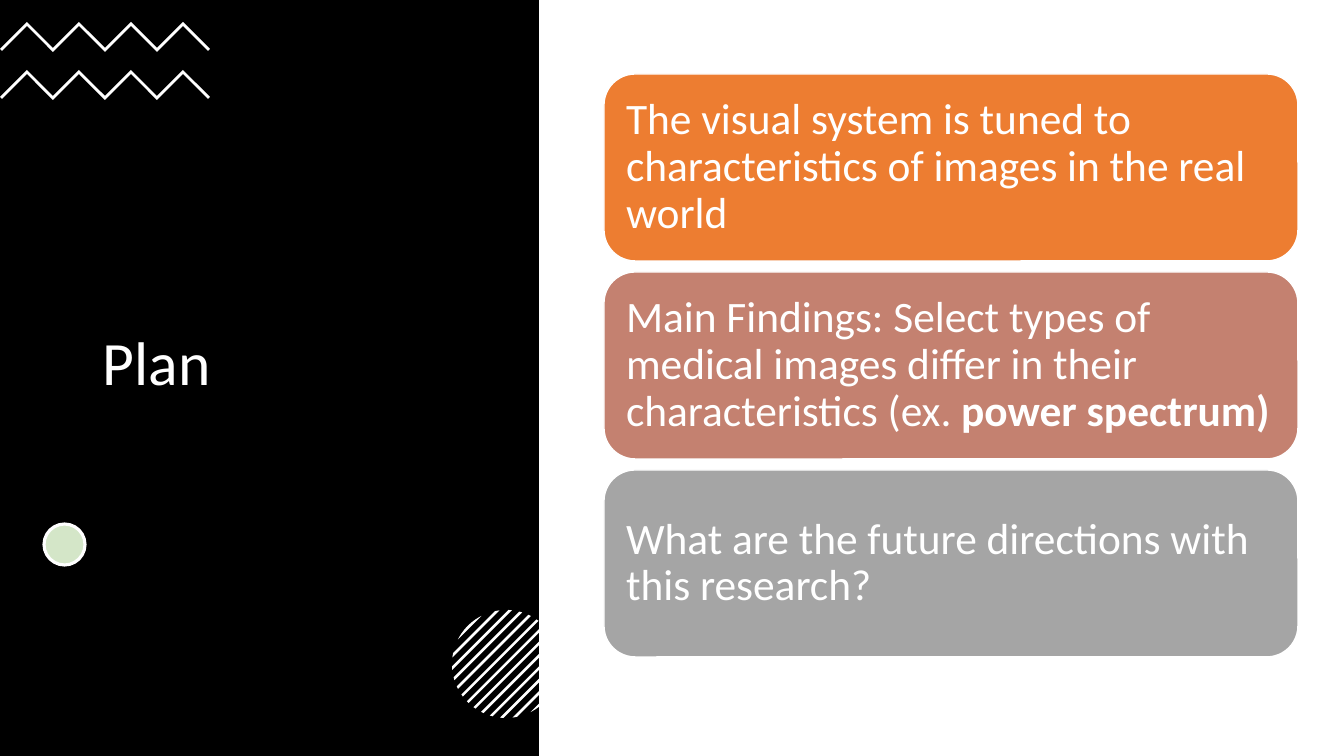
from math import acos, cos, pi, sin

from pptx import Presentation
from pptx.dml.color import RGBColor
from pptx.enum.shapes import MSO_SHAPE as SHAPE
from pptx.enum.text import MSO_ANCHOR as ANCHOR, PP_ALIGN as ALIGN
from pptx.util import Emu, Pt

PX = 914400 / 100.8
BLACK = RGBColor(0x00, 0x00, 0x00)
WHITE = RGBColor(0xFF, 0xFF, 0xFF)
ORANGE = RGBColor(0xED, 0x7D, 0x31)
ROSE = RGBColor(0xC4, 0x81, 0x70)
GRAY = RGBColor(0xA5, 0xA5, 0xA5)
PALE_GREEN = RGBColor(0xD4, 0xE6, 0xC8)

TITLE = [("Plan", False)]
CARDS = [
    (ORANGE, [("The visual system is tuned to characteristics of images in the real world", False)]),
    (ROSE, [("Main Findings: Select types of medical images differ in their characteristics (ex. ", False),
            ("power spectrum)", True)]),
    (GRAY, [("What are the future directions with this research?", False)]),
]
PANEL = (0, 0, 539, 756)
TITLE_BOX = (93, 132, 353, 467)
DOT = (44, 524, 41, 41)
CARD_X, CARD_Y, CARD_W, CARD_H, CARD_STEP = 604, 74, 694, 187, 198
CARD_INSET = 13
ZIGZAG_TOPS = [22, 70]
TOOTH, TEETH, ZIGZAG_LINE = 26, 7, 4
DISC_X, DISC_Y, DISC_R = 506, 664, 54
STRIPE_STEP, STRIPE_HALF, STRIPES_PER_SIDE, ARC_STEPS = 8.77, 1.3, 6, 6


def emu(*lengths):
    return [Emu(round(v * PX)) for v in lengths]


def paint(sp, fill, line=None, width=1):
    sp.shadow.inherit = False
    sp.fill.solid()
    sp.fill.fore_color.rgb = fill
    if line is None:
        sp.line.fill.background()
    else:
        sp.line.color.rgb = line
        sp.line.width = Pt(width)


def add_shape(s, kind, box, fill, line=None, width=1):
    sp = s.shapes.add_shape(kind, *emu(*box))
    paint(sp, fill, line, width)
    return sp


def add_outline(s, points):
    start, *rest = [emu(*pt) for pt in points]
    fb = s.shapes.build_freeform(*start)
    fb.add_line_segments(rest, close=True)
    paint(fb.convert_to_shape(), WHITE)


def write(sp, runs, size, inset_x, inset_y):
    tf = sp.text_frame
    dx, dy = emu(inset_x, inset_y)
    frame = dict(word_wrap=True, vertical_anchor=ANCHOR.MIDDLE,
                 margin_left=dx, margin_right=dx, margin_top=dy, margin_bottom=dy)
    for name, value in frame.items():
        setattr(tf, name, value)
    p = tf.paragraphs[0]
    p.alignment = ALIGN.LEFT
    p.line_spacing = 0.9
    for text, bold in runs:
        r = p.add_run()
        r.text = text
        for name, value in dict(name="Calibri", size=Pt(size), bold=bold).items():
            setattr(r.font, name, value)
        r.font.color.rgb = WHITE


def zigzag(top):
    upper = [(TOOTH * (i + 1) + 1, top + TOOTH * (i % 2)) for i in range(TEETH)]
    lower = [(x, y + ZIGZAG_LINE) for x, y in reversed(upper)]
    right = TOOTH * (TEETH + 1) + 2
    outer, inner = top + TOOTH + 1, top + TOOTH + 3
    return [(0, outer), *upper, (right, outer), (right - 2, inner), *lower, (2, inner)]


def stripe(index):
    middle = index * STRIPE_STEP
    near, far = [acos(max(-1, min(1, (middle + d) / DISC_R)))
                 for d in (-STRIPE_HALF, STRIPE_HALF)]
    arc = [near + (far - near) * i / ARC_STEPS for i in range(ARC_STEPS + 1)]
    angles = arc + [-a for a in reversed(arc)]
    return [(DISC_X + DISC_R * cos(pi / 4 + a), DISC_Y + DISC_R * sin(pi / 4 + a))
            for a in angles]


def main():
    prs = Presentation()
    prs.slide_width, prs.slide_height = emu(1344, 756)
    s = prs.slides.add_slide(prs.slide_layouts[6])
    add_shape(s, SHAPE.RECTANGLE, PANEL, BLACK)
    write(s.shapes.add_textbox(*emu(*TITLE_BOX)), TITLE, 44, 10, 5)
    for top in ZIGZAG_TOPS:
        add_outline(s, zigzag(top))
    add_shape(s, SHAPE.OVAL, DOT, PALE_GREEN, WHITE, 2.25)
    for index in range(-STRIPES_PER_SIDE, STRIPES_PER_SIDE + 1):
        add_outline(s, stripe(index))
    for i, (color, runs) in enumerate(CARDS):
        box = (CARD_X, CARD_Y + i * CARD_STEP, CARD_W, CARD_H)
        card = add_shape(s, SHAPE.ROUNDED_RECTANGLE, box, color, WHITE)
        write(card, runs, 31, CARD_INSET, CARD_INSET)
    prs.save("out.pptx")


if __name__ == "__main__":
    main()
